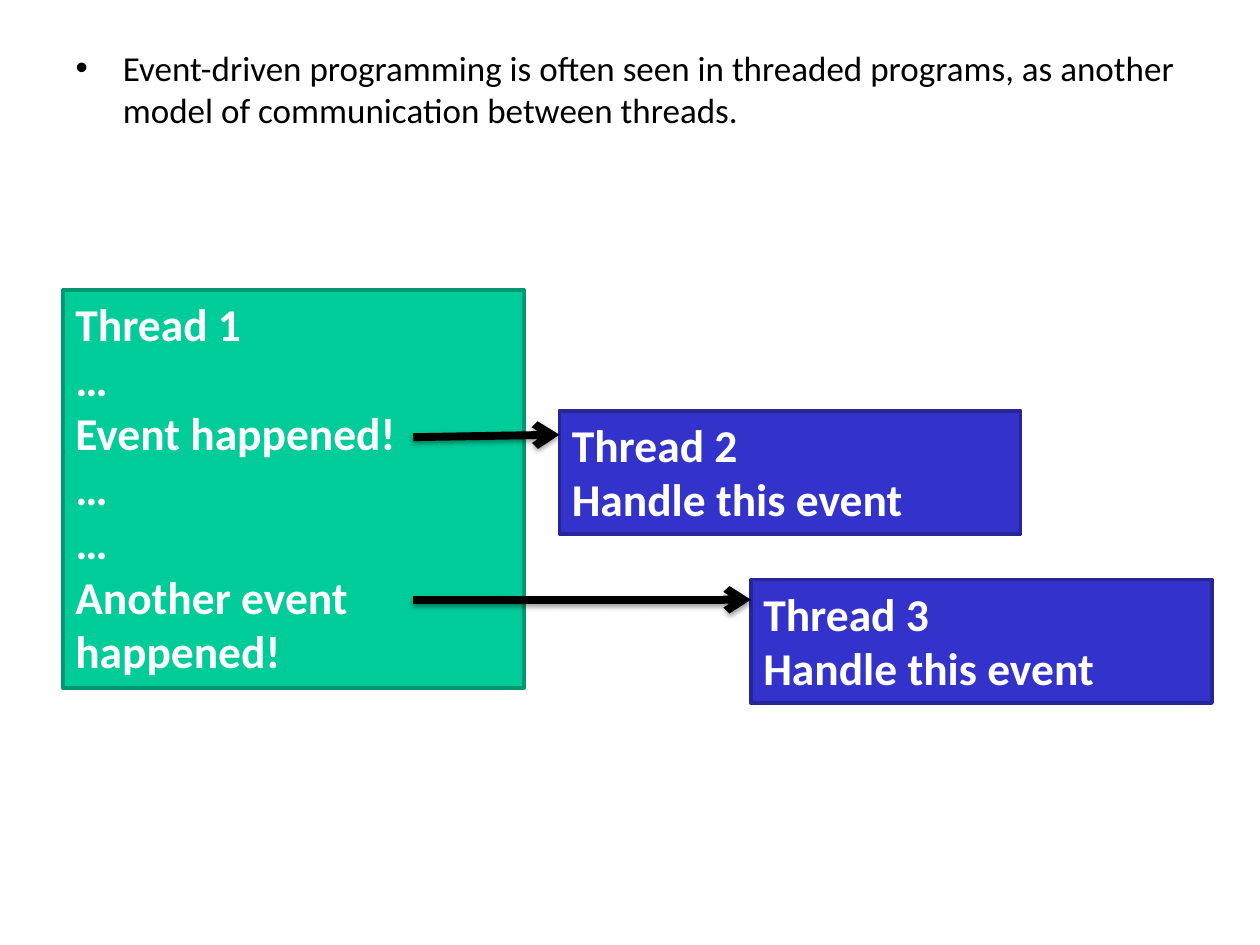
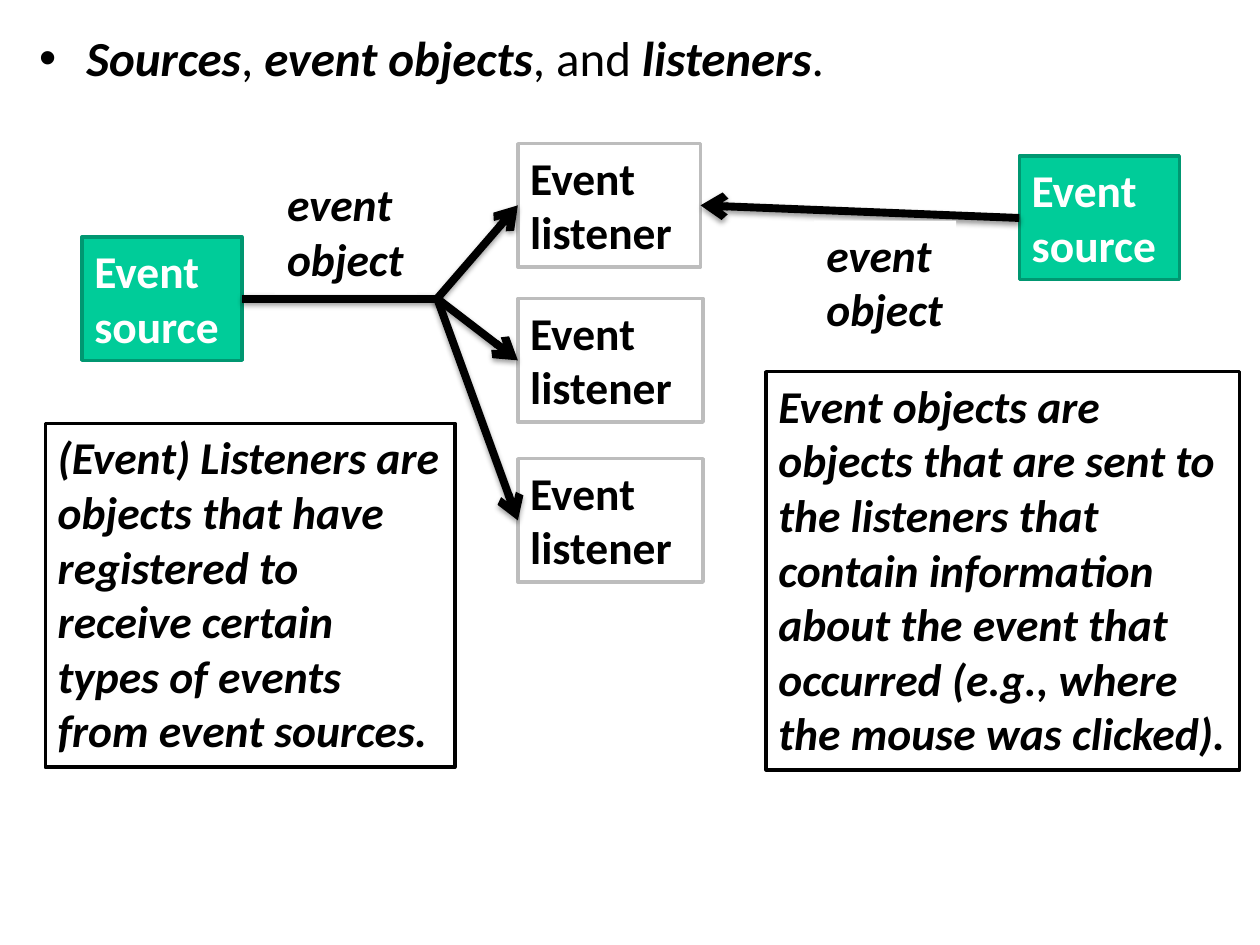
from dataclasses import dataclass

from lxml import etree
from pptx import Presentation
from pptx import util as u
from pptx.dml.color import RGBColor
from pptx.enum import shapes, text
from pptx.oxml import ns

COLORS = {
    "black": "000000",
    "white": "FFFFFF",
    "green": "00CC99",
    "green_edge": "009771",
    "blue": "3333CC",
    "blue_edge": "262697",
    "gray_edge": "BDBDBD",
}
FONT = "Calibri"
BOX_SIZE = 26
TOP, LEFT, BOTTOM, RIGHT = range(4)


@dataclass(frozen=True)
class Style:
    fill: str
    edge: str | None
    color: str
    italic: bool = False


@dataclass(frozen=True)
class Box:
    left: float
    top: float
    width: float
    height: float
    lines: tuple[str, ...]
    style: Style


SOURCE = Style("green", "green_edge", "white")
HANDLER = Style("blue", "blue_edge", "white")
LISTENER = Style("white", "gray_edge", "black")
LABEL = Style("white", None, "black", italic=True)
NOTE = Style("white", "black", "black", italic=True)


def rgb(name: str) -> RGBColor:
    return RGBColor.from_string(COLORS[name])


def add_text(p, content: str, *, size: float, color: str = "black",
             bold: bool = False, italic: bool = False) -> None:
    r = p.add_run()
    r.text = content
    r.font.name = FONT
    r.font.size = u.Pt(size)
    r.font.bold = bold
    r.font.italic = italic
    r.font.color.rgb = rgb(color)


def add_bullet_slide(prs, left: float, top: float, height: float,
                     size: float, parts: list[tuple[str, bool]]):
    s = prs.slides.add_slide(prs.slide_layouts[1])
    title = s.shapes.title
    title.element.getparent().remove(title.element)
    body = s.placeholders[1]
    body.left, body.top = u.Inches(left), u.Inches(top)
    body.width, body.height = u.Inches(9), u.Inches(height)
    tf = body.text_frame
    tf.auto_size = text.MSO_AUTO_SIZE.NONE
    p = tf.paragraphs[0]
    p.space_before = u.Pt(0)
    for content, strong in parts:
        add_text(p, content, size=size, bold=strong, italic=strong)
    return s


def add_box(s, box: Box):
    sp = s.shapes.add_shape(
        shapes.MSO_SHAPE.RECTANGLE, u.Inches(box.left), u.Inches(box.top),
        u.Inches(box.width), u.Inches(box.height))
    sp.shadow.inherit = False
    sp.fill.solid()
    sp.fill.fore_color.rgb = rgb(box.style.fill)
    if box.style.edge:
        sp.line.color.rgb = rgb(box.style.edge)
        sp.line.width = u.Pt(2)
    else:
        sp.line.fill.background()
    tf = sp.text_frame
    tf.word_wrap = True
    tf.auto_size = text.MSO_AUTO_SIZE.SHAPE_TO_FIT_TEXT
    tf.vertical_anchor = text.MSO_ANCHOR.TOP
    for i, line in enumerate(box.lines):
        p = tf.add_paragraph() if i else tf.paragraphs[0]
        p.alignment = text.PP_ALIGN.LEFT
        add_text(p, line, size=BOX_SIZE, color=box.style.color,
                 bold=True, italic=box.style.italic)
    return sp


def add_line(s, start: tuple[float, float], end: tuple[float, float],
             arrow: bool = True):
    c = s.shapes.add_connector(
        shapes.MSO_CONNECTOR.STRAIGHT, u.Inches(start[0]), u.Inches(start[1]),
        u.Inches(end[0]), u.Inches(end[1]))
    c.line.color.rgb = rgb("black")
    c.line.width = u.Pt(4.5)
    if arrow:
        etree.SubElement(c.line._get_or_add_ln(), ns.qn("a:tailEnd"), type="arrow")
    effects = etree.SubElement(c._element.spPr, ns.qn("a:effectLst"))
    shadow = etree.SubElement(
        effects, ns.qn("a:outerShdw"), blurRad=str(u.Pt(3.1)),
        dist=str(u.Pt(1.6)), dir="5400000", rotWithShape="0")
    tint = etree.SubElement(shadow, ns.qn("a:srgbClr"), val=COLORS["black"])
    etree.SubElement(tint, ns.qn("a:alpha"), val="38000")
    return c


def build_threads(prs) -> None:
    s = add_bullet_slide(prs, 0.5, 0.32, 6.38, 20, [
        ("Event-driven programming is often seen in threaded programs, "
         "as another model of communication between threads.", False)])
    add_box(s, Box(0.5, 2.3, 3.66, 3.16, (
        "Thread 1", "…", "Event happened!", "…", "…",
        "Another event happened!"), SOURCE))
    for name, left, top in (("Thread 2", 4.44, 3.26), ("Thread 3", 5.96, 4.6)):
        add_box(s, Box(left, top, 3.66, 0.98, (name, "Handle this event"), HANDLER))
    add_line(s, (3.28, 3.47), (4.44, 3.45))
    add_line(s, (3.28, 4.76), (5.96, 4.76))


def build_listeners(prs) -> None:
    s = add_bullet_slide(prs, 0.21, 0.17, 6.34, 28, [
        ("Sources", True), (", ", False), ("event objects", True),
        (", and ", False), ("listeners", True), (".", False)])
    source_text, label_text = ("Event source",), ("event object",)

    left_source = add_box(s, Box(0.65, 1.88, 1.27, 0.98, source_text, SOURCE))
    listeners = [
        add_box(s, Box(4.11, top, width, 0.98, ("Event listener",), LISTENER))
        for top, width in ((1.14, 1.45), (2.37, 1.47), (3.64, 1.47))]

    fork = (3.47, 2.37)
    trunk = add_line(s, (1.92, 2.37), fork, arrow=False)
    trunk.begin_connect(left_source, RIGHT)
    for listener in listeners:
        add_line(s, fork, (4.11, 2.37)).end_connect(listener, LEFT)
    add_box(s, Box(2.18, 1.35, 1.13, 0.98, label_text, LABEL))

    right_source = add_box(s, Box(8.09, 1.24, 1.27, 0.98, source_text, SOURCE))
    link = add_line(s, (8.09, 1.73), (5.56, 1.63))
    link.begin_connect(right_source, LEFT)
    link.end_connect(listeners[0], RIGHT)
    add_box(s, Box(6.46, 1.75, 1.13, 0.98, label_text, LABEL))

    add_box(s, Box(0.36, 3.36, 3.25, 2.73, (
        "(Event) Listeners are objects that have registered to receive "
        "certain types of events from event sources.",), NOTE))
    add_box(s, Box(6.08, 2.95, 3.76, 3.16, (
        "Event objects are objects that are sent to the listeners that "
        "contain information about the event that occurred (e.g., where "
        "the mouse was clicked).",), NOTE))


def main() -> None:
    prs = Presentation()
    prs.slide_width, prs.slide_height = u.Inches(10), u.Inches(7.5)
    build_threads(prs)
    build_listeners(prs)
    prs.save("out.pptx")


if __name__ == "__main__":
    main()
